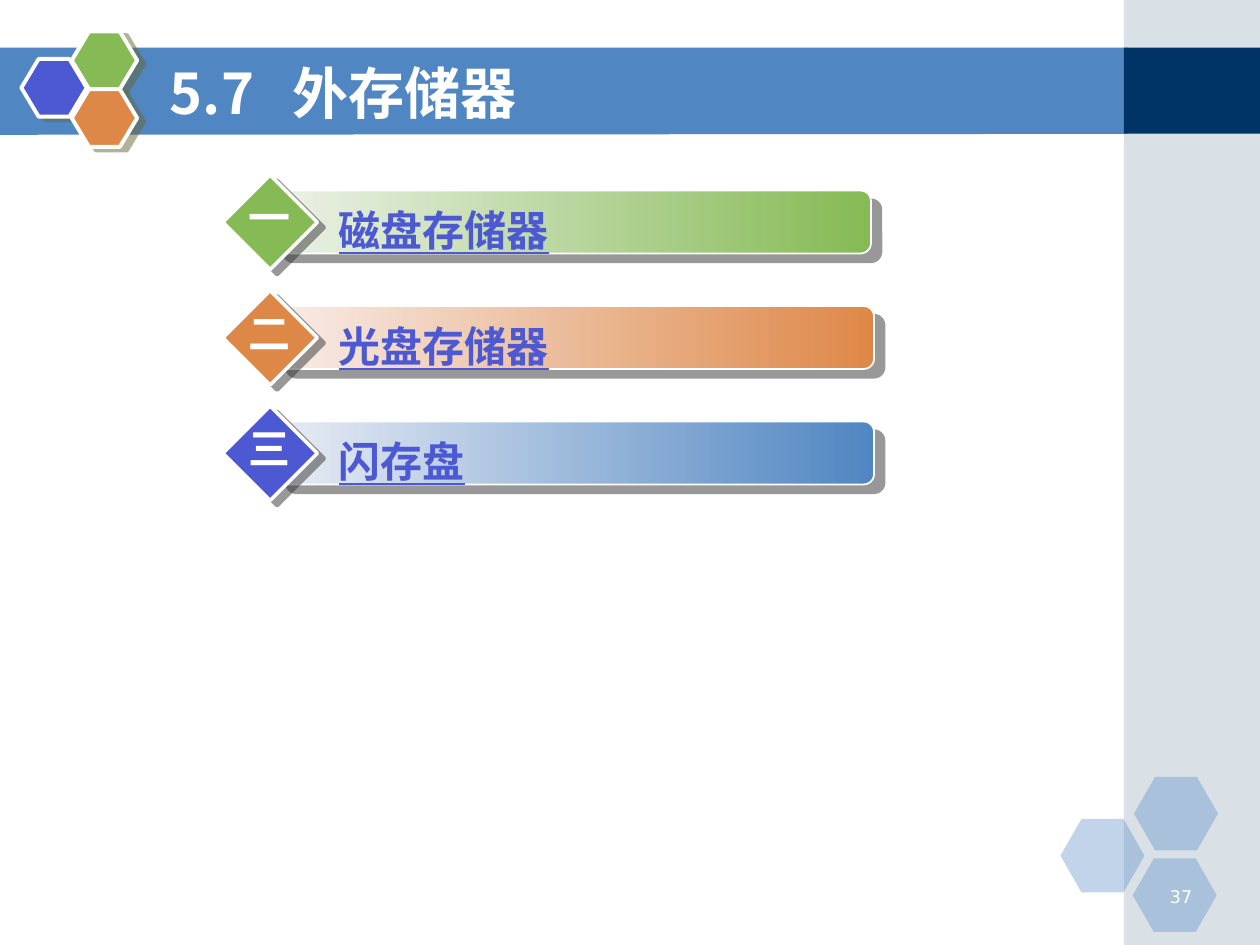
from lxml import etree
from pptx import Presentation
from pptx.dml.color import RGBColor
from pptx.enum.shapes import MSO_SHAPE
from pptx.enum.text import MSO_ANCHOR, PP_ALIGN
from pptx.oxml.ns import qn
from pptx.util import Pt

COLORS = {
    "white": "FFFFFF", "blue": "5086C2", "navy": "003366", "mist": "A0B5C4",
    "green": "85BA54", "orange": "DE8848", "indigo": "4C59D2",
    "pale_green": "ECF2E8", "pale_orange": "F8ECE7", "pale_blue": "E8ECF4",
    "olive_shadow": "666633", "grey_shadow": "333333",
}
HEADING_FONT = "Noto Sans CJK SC"
NUMBER_FONT = "DejaVu Sans"


def rgb(name):
    return RGBColor.from_string(COLORS[name])


def set_alpha(color_element, percent):
    etree.SubElement(color_element, qn("a:alpha"), val=str(percent * 1000))


class SlideBuilder:
    def __init__(self, slide):
        self.slide = slide

    def finish(self, shape, fill, alpha=None, line_width=None):
        """Apply a solid or two-colour fill, and a white outline or none."""
        shape.shadow.inherit = False
        if isinstance(fill, tuple):
            shape.fill.gradient()
            shape.fill.gradient_angle = 0
            for stop, name in zip(shape.fill.gradient_stops, fill):
                stop.color.rgb = rgb(name)
        else:
            shape.fill.solid()
            shape.fill.fore_color.rgb = rgb(fill)
        if alpha:
            solid = shape._element.spPr.find(qn("a:solidFill"))
            set_alpha(solid[0], alpha)
        if line_width:
            shape.line.color.rgb = rgb("white")
            shape.line.width = Pt(line_width)
        else:
            shape.line.fill.background()

    def shape(self, preset, box, fill, adj=None, shadow=None, **style):
        shape = self.slide.shapes.add_shape(preset, *map(Pt, box))
        if adj is not None:
            shape.adjustments[0] = adj
        self.finish(shape, fill, **style)
        if shadow:
            self.cast_shadow(shape, *shadow)

    def cast_shadow(self, shape, color, distance, angle):
        effects = shape._element.spPr.find(qn("a:effectLst"))
        outer = etree.SubElement(
            effects, qn("a:outerShdw"), dist=str(Pt(distance)),
            dir=str(angle * 60000), algn="ctr", rotWithShape="0")
        tint = etree.SubElement(outer, qn("a:srgbClr"), val=COLORS[color])
        set_alpha(tint, 50)

    def outline(self, points, fill):
        builder = self.slide.shapes.build_freeform(
            Pt(points[0][0]), Pt(points[0][1]), scale=1.0)
        builder.add_line_segments([(Pt(x), Pt(y)) for x, y in points[1:]], close=True)
        self.finish(builder.convert_to_shape(), fill)

    def text(self, box, words, size, color="white", font=HEADING_FONT, bold=True,
             underline=False, align=PP_ALIGN.LEFT, anchor=MSO_ANCHOR.TOP,
             wrap=True, inset=7.2, tab=None):
        frame = self.slide.shapes.add_textbox(*map(Pt, box)).text_frame
        frame.word_wrap = wrap
        frame.vertical_anchor = anchor
        frame.margin_left = Pt(inset)
        frame.text = words
        paragraph = frame.paragraphs[0]
        paragraph.alignment = align
        if tab:
            tabs = etree.SubElement(paragraph._p.get_or_add_pPr(), qn("a:tabLst"))
            etree.SubElement(tabs, qn("a:tab"), pos=str(Pt(tab)), algn="l")
        for run in paragraph.runs:
            run.font.size = Pt(size)
            run.font.bold = bold
            run.font.underline = underline
            run.font.color.rgb = rgb(color)
            run.font.name = font
            etree.SubElement(run._r.get_or_add_rPr(), qn("a:ea"), typeface=font)


def main():
    deck = Presentation()
    deck.slide_width, deck.slide_height = Pt(720), Pt(540)
    page = SlideBuilder(deck.slides.add_slide(deck.slide_layouts[6]))

    # Title band and right column
    page.outline([(0, 27.2), (644.4, 27.2), (644.4, 76.5), (0, 77)], "blue")
    page.shape(MSO_SHAPE.RECTANGLE, (642.2, 0, 77.8, 540), "mist", alpha=40)
    page.shape(MSO_SHAPE.RECTANGLE, (642.2, 27.2, 77.8, 49.2), "navy")

    # Pale hexagons behind the page number
    for left, top in [(606, 468), (648, 444), (647.3, 490.6)]:
        page.shape(MSO_SHAPE.HEXAGON, (left, top, 48, 42), "blue", adj=0.286, alpha=35)

    # Hexagon cluster beside the title
    for left, top, color in [(12.2, 33.7, "indigo"), (41, 18, "green"), (41, 51, "orange")]:
        page.shape(MSO_SHAPE.HEXAGON, (left, top, 37.4, 33), color, adj=0.3,
                   line_width=2.25, shadow=("olive_shadow", 4.5, 27))

    # Page number and title
    page.text((652.3, 502.6, 36, 18), "37", 10, font=NUMBER_FONT, bold=False,
              align=PP_ALIGN.RIGHT)
    page.text((90, 30.2, 527.8, 44.6), "5.7\t外存储器", 32,
              anchor=MSO_ANCHOR.MIDDLE, tab=70)

    # Section list: bar, label, diamond and numeral in each row
    sections = [
        ("一", "磁盘存储器", "green", ("pale_green", "green"), 155.7),
        ("二", "光盘存储器", "orange", ("pale_orange", "orange"), 157.5),
        ("三", "闪存盘", "indigo", ("pale_blue", "blue"), 157.5),
    ]
    row_pitch = 66
    for row, (numeral, label, color, gradient, bar_left) in enumerate(sections):
        top = 100 + row * row_pitch
        page.shape(MSO_SHAPE.ROUNDED_RECTANGLE, (bar_left, top + 8.9, 342, 36), gradient,
                   adj=0.167, line_width=1, shadow=("grey_shadow", 7.8, 40))
        page.text((175.7, top + 13.5, 309.6, 36), label, 24, color="indigo",
                  underline=True, inset=18)
        page.shape(MSO_SHAPE.DIAMOND, (127.4, top, 54, 54), color,
                   line_width=2, shadow=("grey_shadow", 5, 37))
        page.text((134.6, top + 6, 39, 36), numeral, 24, align=PP_ALIGN.CENTER, wrap=False)

    deck.save("out.pptx")


if __name__ == "__main__":
    main()
